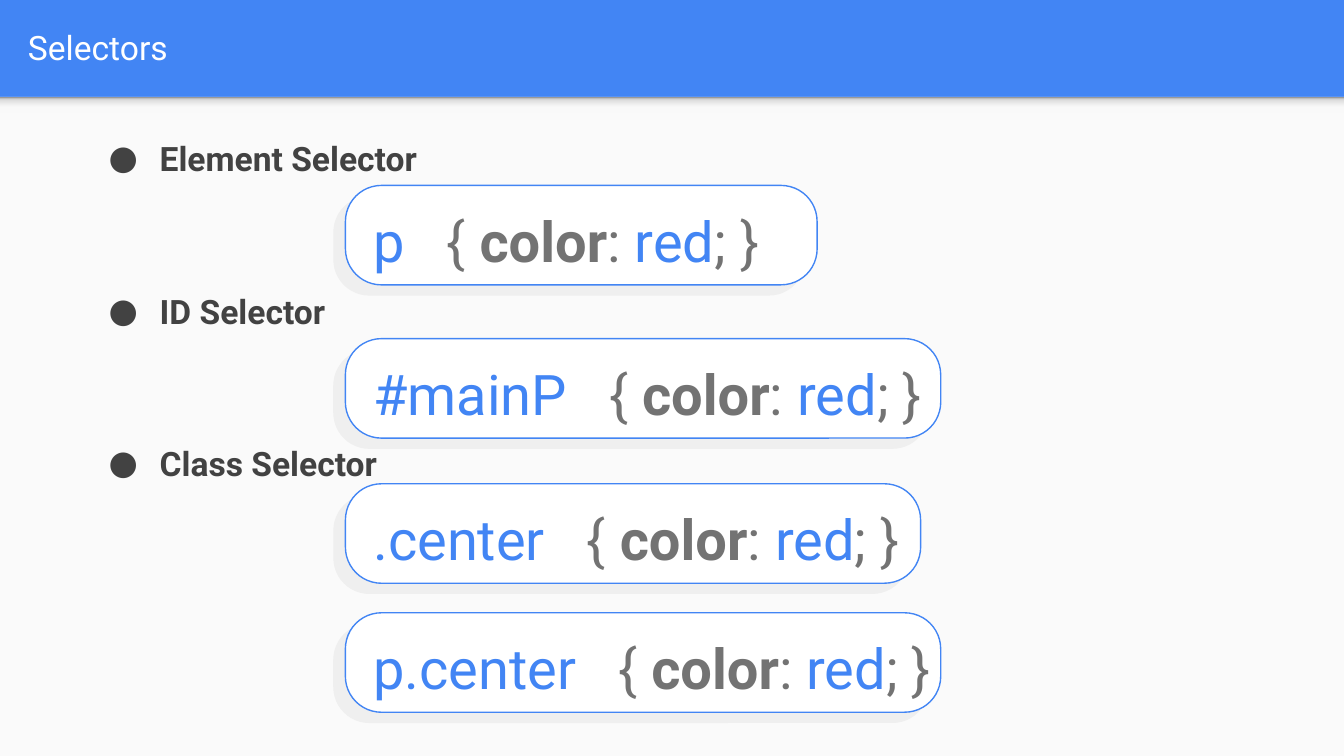
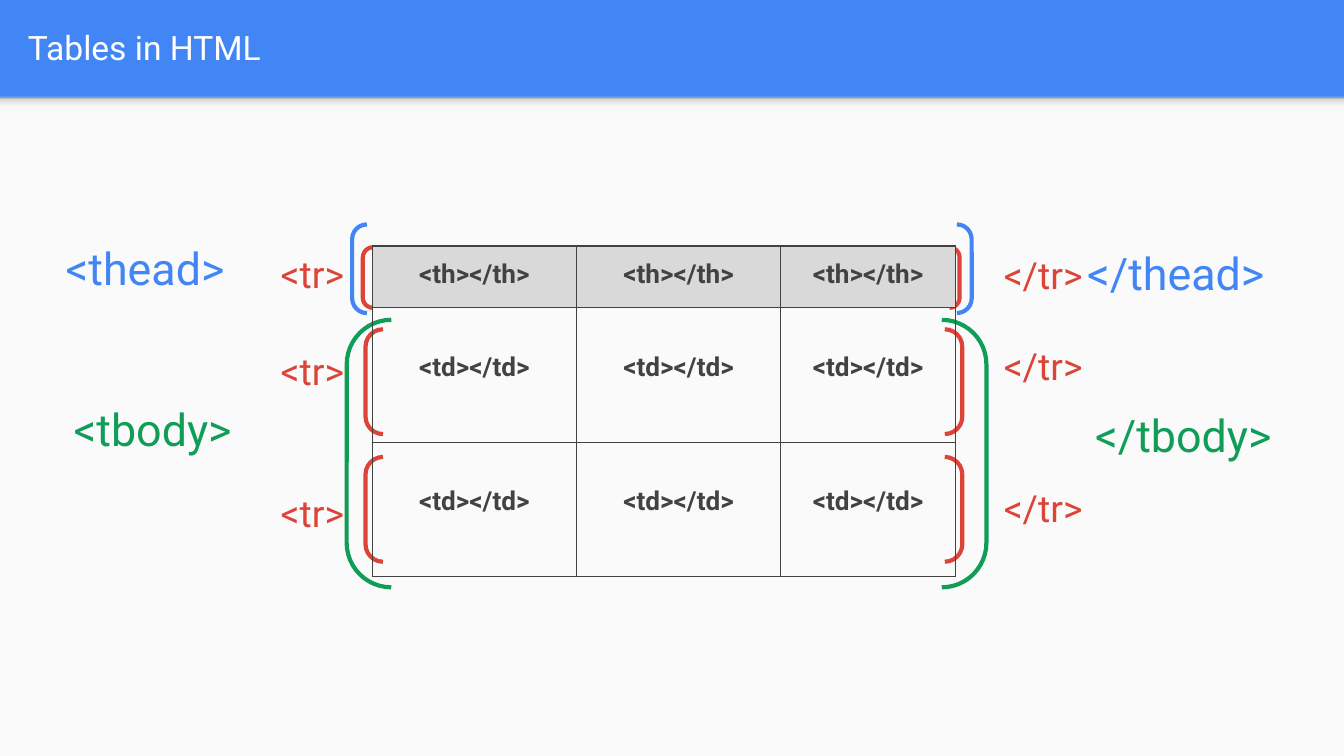
from pptx import Presentation
from pptx import util as u
from pptx.dml.color import RGBColor
from pptx.enum import shapes, text
from pptx.oxml import ns, xmlchemy

# Shared look
WIDTH = 10
HEIGHT = WIDTH * 9 / 16
BAND = 0.72
FONT = "Roboto"
BLUE = RGBColor(0x42, 0x85, 0xF4)
RED = RGBColor(0xDB, 0x44, 0x37)
GREEN = RGBColor(0x0F, 0x9D, 0x58)
WHITE = RGBColor(0xFF, 0xFF, 0xFF)
PAPER = RGBColor(0xFA, 0xFA, 0xFA)
PILL_SHADE = RGBColor(0xEF, 0xEF, 0xEF)
HEAD_GREY = RGBColor(0xD9, 0xD9, 0xD9)
CODE_GREY = RGBColor(0x73, 0x73, 0x73)
INK = RGBColor(0x42, 0x42, 0x42)
BAND_SHADE = [(0, "F9F9F9"), (36, "F9F9F9"), (80, "DEDEDE"), (100, "999999")]

# Slide 1: headings, then (selector, pill top, pill width)
HEADINGS = ["Element Selector", "ID Selector", "Class Selector"]
RULES = [
    ("p", 1.38, 3.51),
    ("#mainP", 2.52, 4.43),
    (".center", 3.6, 4.28),
    ("p.center", 4.56, 4.43),
]
DECLARATION = [("{ ", CODE_GREY, False), ("color", CODE_GREY, True),
               (": ", CODE_GREY, False), ("red", BLUE, False),
               ("; }", CODE_GREY, False)]
PILL_LEFT, PILL_HEIGHT = 2.57, 0.74
SHADE_LEFT, SHADE_DROP = 2.48, 0.08

# Slide 2: table rows, brackets (box, colour) and tags (text, left, top, width)
ROWS = [["<th></th>"] * 3, ["<td></td>"] * 3, ["<td></td>"] * 3]
TABLE_LEFT, TABLE_TOP = 2.77, 1.83
COLUMN_WIDTHS = [1.52, 1.52, 1.3]
ROW_HEIGHTS = [0.46, 1, 1]
BRACKETS = [
    ((2.72, 3.4, 4.44, 0.78), RED),
    ((2.58, 2.38, 4.76, 1.99), GREEN),
    ((2.72, 2.45, 4.44, 0.78), RED),
    ((2.62, 1.67, 4.61, 0.66), BLUE),
    ((2.7, 1.84, 4.44, 0.45), RED),
]
SECTION_TAGS = [
    ("<thead>", (0.39, 1.69, 1.6, 0.56), BLUE),
    ("</thead>", (7.99, 1.73, 1.56, 0.48), BLUE),
    ("<tbody>", (0.45, 2.89, 1.6, 0.56), GREEN),
    ("</tbody>", (8.05, 2.93, 1.56, 0.48), GREEN),
]
ROW_TAG_TOPS = [(1.77, 1.78), (2.49, 2.45), (3.55, 3.51)]


def inches(box):
    return [u.Inches(value) for value in box]


def element(tag, children=(), **attributes):
    node = xmlchemy.OxmlElement(tag)
    for key, value in attributes.items():
        node.set(key, str(value))
    node.extend(children)
    return node


def add_block(slide, kind, box, fill=None, line=None, weight=0.75):
    block = slide.shapes.add_shape(kind, *inches(box))
    block.shadow.inherit = False
    if fill is None:
        block.fill.background()
    else:
        block.fill.solid()
        block.fill.fore_color.rgb = fill
    if line is None:
        block.line.fill.background()
    else:
        block.line.color.rgb = line
        block.line.width = u.Pt(weight)
    return block


def style(run, size, color, bold=False):
    run.font.name, run.font.size = FONT, u.Pt(size)
    run.font.color.rgb, run.font.bold = color, bold


def add_text(slide, box, words, size, color, bold=False):
    """Add a text box, one paragraph per line of words."""
    frame = slide.shapes.add_textbox(*inches(box)).text_frame
    frame.word_wrap = True
    frame.margin_left = frame.margin_right = u.Inches(0.1)
    frame.margin_top = frame.margin_bottom = u.Inches(0.1)
    frame.text = words
    for paragraph in frame.paragraphs:
        for run in paragraph.runs:
            style(run, size, color, bold)
    return frame


def shade_upward(block, stops):
    block.fill.gradient()
    block.fill.gradient_angle = 90
    stop_list = block._element.spPr.find(".//" + ns.qn("a:gsLst"))
    for stop in list(stop_list):
        stop_list.remove(stop)
    for share, color in stops:
        tint = element("a:srgbClr", val=color)
        stop_list.append(element("a:gs", [tint], pos=share * 1000))


def add_page(deck, title):
    """Add a slide with the blue band, its shade, the paper and a title."""
    slide = deck.slides.add_slide(deck.slide_layouts[6])
    slide.background.fill.solid()
    slide.background.fill.fore_color.rgb = BLUE
    rectangle = shapes.MSO_SHAPE.RECTANGLE
    add_block(slide, rectangle, (0, BAND, WIDTH, HEIGHT - BAND), PAPER)
    shade = add_block(slide, rectangle, (0, BAND, WIDTH, 0.12), PAPER)
    shade_upward(shade, BAND_SHADE)
    heading = add_text(slide, (0.11, 0.02, 9.65, 0.66), title, 18, WHITE)
    heading.vertical_anchor = text.MSO_ANCHOR.MIDDLE
    return slide


def add_bullet(paragraph, color):
    props = paragraph._p.get_or_add_pPr()
    props.set("marL", str(u.Inches(0.5)))
    props.set("indent", str(u.Inches(-0.38)))
    props.extend([
        element("a:buClr", [element("a:srgbClr", val=color)]),
        element("a:buFont", typeface=FONT),
        element("a:buChar", char="●"),
    ])


def add_pill(slide, box, fill, line=None):
    pill = add_block(slide, shapes.MSO_SHAPE.ROUNDED_RECTANGLE, box, fill, line)
    pill.adjustments[0] = 0.363


def build_selectors(deck):
    slide = add_page(deck, "Selectors")

    # Pill shades lie behind the headings
    for _, top, width in RULES:
        add_pill(slide, (SHADE_LEFT, top + SHADE_DROP, width, PILL_HEIGHT),
                 PILL_SHADE)

    # Bulleted headings
    frame = add_text(slide, (0.59, 0.88, 4.43, 3.46), "\n".join(HEADINGS),
                     18, INK, bold=True)
    for index, paragraph in enumerate(frame.paragraphs):
        paragraph.line_spacing = 1.15
        paragraph.space_before = u.Pt(57 if index else 0)
        add_bullet(paragraph, INK)

    # Style rules in pills
    for selector, top, width in RULES:
        add_pill(slide, (PILL_LEFT, top, width, PILL_HEIGHT), WHITE, BLUE)
        frame = add_text(slide, (2.68, top - 0.02, 7.3, PILL_HEIGHT),
                         selector, 30, BLUE)
        rule = frame.paragraphs[0]
        rule.line_spacing = 1.15
        gap = rule.add_run()
        gap.text = " "
        style(gap, 30, BLUE)
        gap.font._element.set("spc", "1500")  # widen the gap by 15 pt
        for words, color, bold in DECLARATION:
            run = rule.add_run()
            run.text = words
            style(run, 30, color, bold)


def add_borders(cell, color):
    props = cell._tc.get_or_add_tcPr()
    for position, side in enumerate(("a:lnL", "a:lnR", "a:lnT", "a:lnB")):
        fill = element("a:solidFill", [element("a:srgbClr", val=color)])
        props.insert(position, element(side, [fill], w=u.Pt(0.75)))


def add_markup_table(slide):
    box = (TABLE_LEFT, TABLE_TOP, sum(COLUMN_WIDTHS), sum(ROW_HEIGHTS))
    table = slide.shapes.add_table(len(ROWS), len(COLUMN_WIDTHS),
                                   *inches(box)).table
    table.first_row = table.horz_banding = False
    for column, width in zip(table.columns, COLUMN_WIDTHS):
        column.width = u.Inches(width)
    for r, words in enumerate(ROWS):
        table.rows[r].height = u.Inches(ROW_HEIGHTS[r])
        for c, word in enumerate(words):
            cell = table.cell(r, c)
            cell.margin_left = cell.margin_right = u.Inches(0.1)
            cell.margin_top = u.Inches(0.33 if r else 0.1)
            cell.margin_bottom = u.Inches(0.1)
            if r:
                cell.fill.background()
            else:
                cell.fill.solid()
                cell.fill.fore_color.rgb = HEAD_GREY
            add_borders(cell, INK)
            cell.text_frame.text = word
            paragraph = cell.text_frame.paragraphs[0]
            paragraph.alignment = text.PP_ALIGN.CENTER
            style(paragraph.runs[0], 14, INK, bold=True)


def build_tables(deck):
    slide = add_page(deck, "Tables in HTML")
    for box, color in BRACKETS:
        add_block(slide, shapes.MSO_SHAPE.DOUBLE_BRACKET, box,
                  line=color, weight=2.25)
    add_markup_table(slide)

    # Section and row tags
    for tag, box, color in SECTION_TAGS:
        add_text(slide, box, tag, 24, color)
    for open_top, close_top in ROW_TAG_TOPS:
        add_text(slide, (1.99, open_top, 0.71, 0.56), "<tr>", 20, RED)
        add_text(slide, (7.37, close_top, 0.82, 0.56), "</tr>", 20, RED)


def main():
    deck = Presentation()
    deck.slide_width, deck.slide_height = inches((WIDTH, HEIGHT))
    build_selectors(deck)
    build_tables(deck)
    deck.save("out.pptx")


if __name__ == "__main__":
    main()
